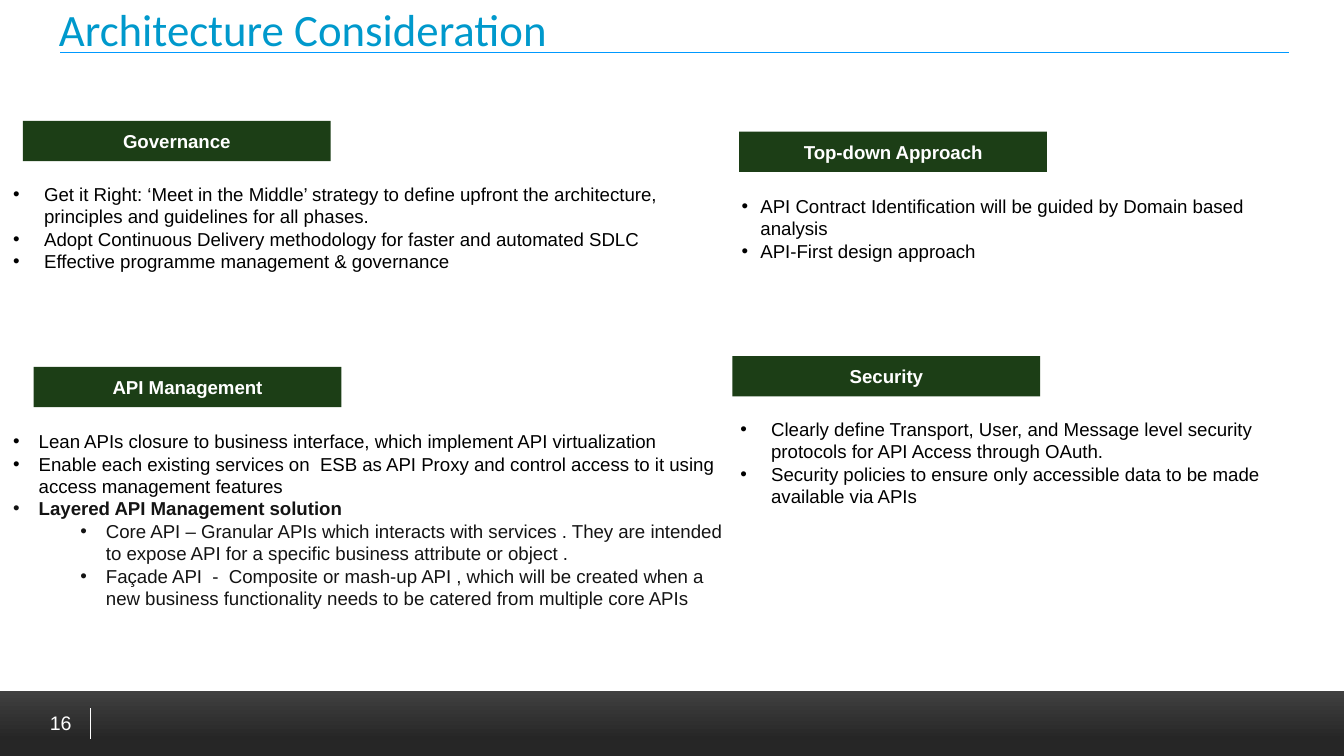
from lxml import etree
from pptx import Presentation
from pptx import util as u
from pptx.dml.color import RGBColor
from pptx.enum import shapes, text
from pptx.oxml import ns

WHITE = RGBColor(0xFF, 0xFF, 0xFF)
BLACK = RGBColor(0, 0, 0)
INK = RGBColor(0x14, 0x14, 0x14)
GREEN = RGBColor(0x1C, 0x3E, 0x16)
TEAL = RGBColor(0x00, 0x99, 0xCC)
BLUE = RGBColor(0x00, 0x99, 0xFF)
DARK = RGBColor(0x26, 0x26, 0x26)
GREY = RGBColor(0x40, 0x40, 0x40)

WIDE = 10
HIGH = WIDE * 9 / 16

BODY = {"name": "Arial", "size": u.Pt(10), "bold": False}
HEAD = {"name": "Arial", "size": u.Pt(10), "bold": True}
TITLE = {"name": "Calibri", "size": u.Pt(24)}
PAGE = {"name": "Arial", "size": u.Pt(10.5)}

HEADS = [
    ("Governance", 0.17, 0.9),
    ("API Management", 0.25, 2.73),
    ("Top-down Approach", 5.5, 0.98),
    ("Security", 5.45, 2.65),
]
LISTS = [
    ((0, 1.31, 5.08, 0.77), 0.23, [
        ("Get it Right: ‘Meet in the Middle’ strategy to define upfront the "
         "architecture, principles and guidelines for all phases.",),
        ("Adopt Continuous Delivery methodology for faster and automated SDLC",),
        ("Effective programme management & governance",),
    ]),
    ((0, 3.15, 5.5, 1.62), 0.19, [
        ("Lean APIs closure to business interface, which implement API "
         "virtualization",),
        ("Enable each existing services on  ESB as API Proxy and control "
         "access to it using access management features",),
        ("Layered API Management solution", 0, INK, HEAD),
        ("Core API – Granular APIs which interacts with services . They are "
         "intended to expose API for a specific business attribute or object .",
         1, INK),
        ("Façade API  -  Composite or mash-up API , which will be created when "
         "a new business functionality needs to be catered from multiple core "
         "APIs", 1, INK),
    ]),
    ((5.42, 1.4, 4.17, 0.77), 0.14, [
        ("API Contract Identification will be guided by Domain based analysis",),
        ("API-First design approach",),
    ]),
    ((5.41, 3.06, 4.37, 0.77), 0.23, [
        ("Clearly define Transport, User, and Message level security protocols "
         "for API Access through OAuth.",),
        ("Security policies to ensure only accessible data to be made "
         "available via APIs",),
    ]),
]


def inches(box):
    return [u.Inches(n) for n in box]


def write(para, words, form, color):
    run = para.add_run()
    run.text = words
    for key, val in form.items():
        setattr(run.font, key, val)
    run.font.color.rgb = color


def add_rect(slide, box):
    rect = slide.shapes.add_shape(shapes.MSO_SHAPE.RECTANGLE, *inches(box))
    rect.shadow.inherit = False
    rect.line.fill.background()
    return rect


def add_rule(slide, ends, color):
    rule = slide.shapes.add_connector(
        shapes.MSO_CONNECTOR.STRAIGHT, *inches(ends))
    rule.line.width = u.Pt(0.5)
    rule.line.color.rgb = color
    etree.SubElement(rule._element.spPr, ns.qn("a:effectLst"))


def add_label(slide, box, words, form, color, align):
    frame = slide.shapes.add_textbox(*inches(box)).text_frame
    frame.word_wrap = True
    frame.vertical_anchor = text.MSO_ANCHOR.MIDDLE
    para = frame.paragraphs[0]
    para.alignment = align
    write(para, words, form, color)


def add_head(slide, words, left, top):
    rect = add_rect(slide, (left, top, 2.29, 0.3))
    rect.fill.solid()
    rect.fill.fore_color.rgb = GREEN
    frame = rect.text_frame
    frame.vertical_anchor = text.MSO_ANCHOR.MIDDLE
    para = frame.paragraphs[0]
    para.alignment = text.PP_ALIGN.CENTER
    write(para, words, HEAD, WHITE)


def set_bullet(para, level, hang):
    props = para._p.get_or_add_pPr()
    props.set("marL", str(u.Inches(hang + level * 0.5)))
    props.set("indent", str(-u.Inches(hang)))
    etree.SubElement(props, ns.qn("a:buFont"), typeface="Arial")
    etree.SubElement(props, ns.qn("a:buChar"), char="•")


def add_list(slide, box, hang, items):
    frame = slide.shapes.add_textbox(*inches(box)).text_frame
    frame.word_wrap = True
    frame.auto_size = text.MSO_AUTO_SIZE.SHAPE_TO_FIT_TEXT
    for num, (words, *rest) in enumerate(items):
        level, color, form = (*rest, *(0, BLACK, BODY)[len(rest):])
        para = frame.add_paragraph() if num else frame.paragraphs[0]
        set_bullet(para, level, hang)
        write(para, words, form, color)


def add_foot(slide):
    fill = add_rect(slide, (0, 5.14, WIDE, HIGH - 5.14)).fill
    fill.gradient()
    fill.gradient_angle = 90
    stops = ((0.24, DARK), (1, GREY))
    for stop, (pos, color) in zip(fill.gradient_stops, stops):
        stop.position = pos
        stop.color.rgb = color
    add_rule(slide, (0.67, 5.27, 0.67, 5.5), WHITE)
    add_label(slide, (0.04, 5.17, 0.59, 0.41), "16", PAGE, WHITE,
              text.PP_ALIGN.RIGHT)


def main():
    deck = Presentation()
    deck.slide_width, deck.slide_height = inches((WIDE, HIGH))
    slide = deck.slides.add_slide(deck.slide_layouts[6])
    add_foot(slide)
    add_rule(slide, (0.45, 0.39, 9.59, 0.39), BLUE)
    add_label(slide, (0.34, 0.04, 9.26, 0.35), "Architecture Consideration",
              TITLE, TEAL, text.PP_ALIGN.LEFT)
    for head in HEADS:
        add_head(slide, *head)
    for block in LISTS:
        add_list(slide, *block)
    deck.save("out.pptx")


if __name__ == "__main__":
    main()
